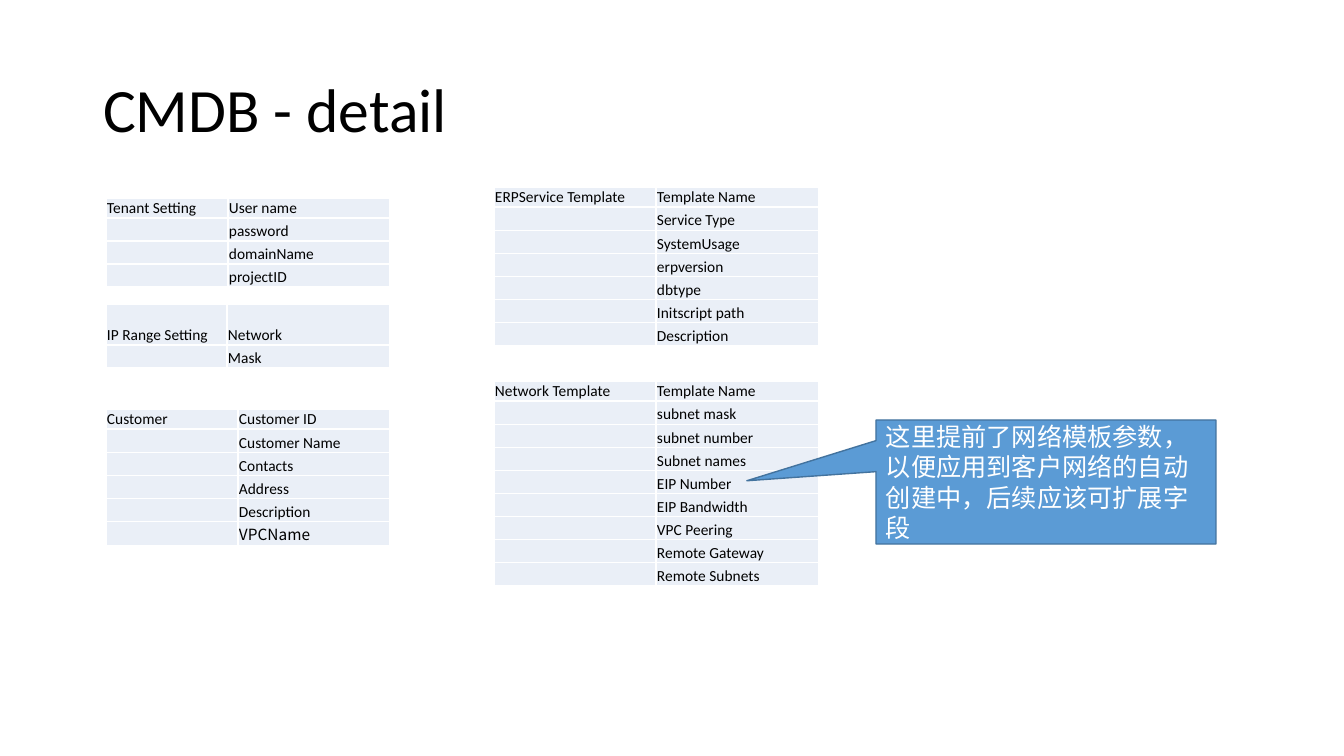
from lxml.etree import SubElement
from pptx import Presentation
from pptx.dml.color import RGBColor
from pptx.enum.shapes import MSO_SHAPE as SHAPE
from pptx.enum.text import MSO_ANCHOR as ANCHOR, PP_ALIGN as ALIGN
from pptx.oxml.ns import qn
from pptx.util import Pt

EMU_PER_PX = 914400 / 100.8
FONT = "Calibri"
CJK_FONT = "Noto Sans CJK SC"
CELL_PT = 11
KEY_COL, VALUE_COL = 0, 1

# box, width of the key column, height of the first row, heading, fields
ENTITIES = [
    ((106, 198, 284, 89), 122, 20, "Tenant Setting",
     ["User name", "password", "domainName", "projectID"]),
    ((106, 304, 284, 64), 121, 41, "IP Range Setting", ["Network", "Mask"]),
    ((106, 409, 284, 136), 132, 20, "Customer",
     ["Customer ID", "Customer Name", "Contacts", "Address", "Description", "VPCName"]),
    ((494, 187, 325, 159), 162, 20, "ERPService Template",
     ["Template Name", "Service Type", "SystemUsage", "erpversion", "dbtype",
      "Initscript path", "Description"]),
    ((494, 381, 325, 205), 162, 20, "Network Template",
     ["Template Name", "subnet mask", "subnet number", "Subnet names", "EIP Number",
      "EIP Bandwidth", "VPC Peering", "Remote Gateway", "Remote Subnets"]),
]


def px(length):
    return round(length * EMU_PER_PX)


def color(hex_code):
    return RGBColor.from_string(hex_code)


def add_run(paragraph, text, size, hex_code, font=FONT):
    run = paragraph.add_run()
    run.text = text
    run.font.size = Pt(size)
    run.font.name = font
    run.font.color.rgb = color(hex_code)


def add_title(slide, box, text):
    title = slide.shapes.title
    title.left, title.top, title.width, title.height = map(px, box)
    title.text_frame.vertical_anchor = ANCHOR.MIDDLE
    heading = title.text_frame.paragraphs[0]
    heading.alignment = ALIGN.LEFT
    heading.line_spacing = 0.9
    add_run(heading, text, 44, "000000")


def style_cell(cell):
    """Give the cell white borders, a pale fill and tight margins."""
    properties = cell._tc.get_or_add_tcPr()
    for side in ("a:lnL", "a:lnR", "a:lnT", "a:lnB"):
        border = SubElement(properties, qn(side), w=str(Pt(1)))
        SubElement(SubElement(border, qn("a:solidFill")), qn("a:srgbClr"), val="FFFFFF")
    cell.fill.solid()
    cell.fill.fore_color.rgb = color("EAEFF7")
    cell.margin_left = cell.margin_right = cell.margin_top = px(1)
    cell.margin_bottom = 0
    cell.vertical_anchor = ANCHOR.BOTTOM


def add_entity(slide, box, key_width, first_height, heading, fields):
    """Draw one entity: its heading in the first row, one field per row."""
    left, top, width, height = box
    table = slide.shapes.add_table(len(fields), 2, *map(px, box)).table
    table.first_row = table.horz_banding = False
    table.columns[KEY_COL].width = px(key_width)
    table.columns[VALUE_COL].width = px(width - key_width)
    field_height = (height - first_height) / (len(fields) - 1)
    for index, field in enumerate(fields):
        table.rows[index].height = px(field_height if index else first_height)
        for column, text in ((KEY_COL, "" if index else heading), (VALUE_COL, field)):
            cell = table.cell(index, column)
            style_cell(cell)
            paragraph = cell.text_frame.paragraphs[0]
            if text:
                font = CJK_FONT if text == "VPCName" else FONT
                add_run(paragraph, text, CELL_PT, "000000", font)
            else:
                SubElement(paragraph._p, qn("a:endParaRPr"), sz=str(CELL_PT * 100))


def add_callout(slide, box, text):
    callout = slide.shapes.add_shape(SHAPE.RECTANGULAR_CALLOUT, *map(px, box))
    callout.adjustments[0], callout.adjustments[1] = -0.88, -0.01
    callout.shadow.inherit = False
    callout.fill.solid()
    callout.fill.fore_color.rgb = color("5B9BD5")
    callout.line.color.rgb = color("43739E")
    callout.line.width = Pt(1)
    frame = callout.text_frame
    frame.word_wrap = True
    frame.vertical_anchor = ANCHOR.MIDDLE
    frame.paragraphs[0].alignment = ALIGN.LEFT
    add_run(frame.paragraphs[0], text, 18, "FFFFFF")


def main():
    presentation = Presentation()
    presentation.slide_width, presentation.slide_height = px(1344), px(756)
    slide = presentation.slides.add_slide(presentation.slide_layouts[5])
    add_title(slide, (93, 40, 1159, 146), "CMDB - detail")
    for entity in ENTITIES:
        add_entity(slide, *entity)
    add_callout(slide, (876, 420, 340, 124),
                "这里提前了网络模板参数，以便应用到客户网络的自动创建中，后续应该可扩展字段")
    presentation.save("out.pptx")


if __name__ == "__main__":
    main()
